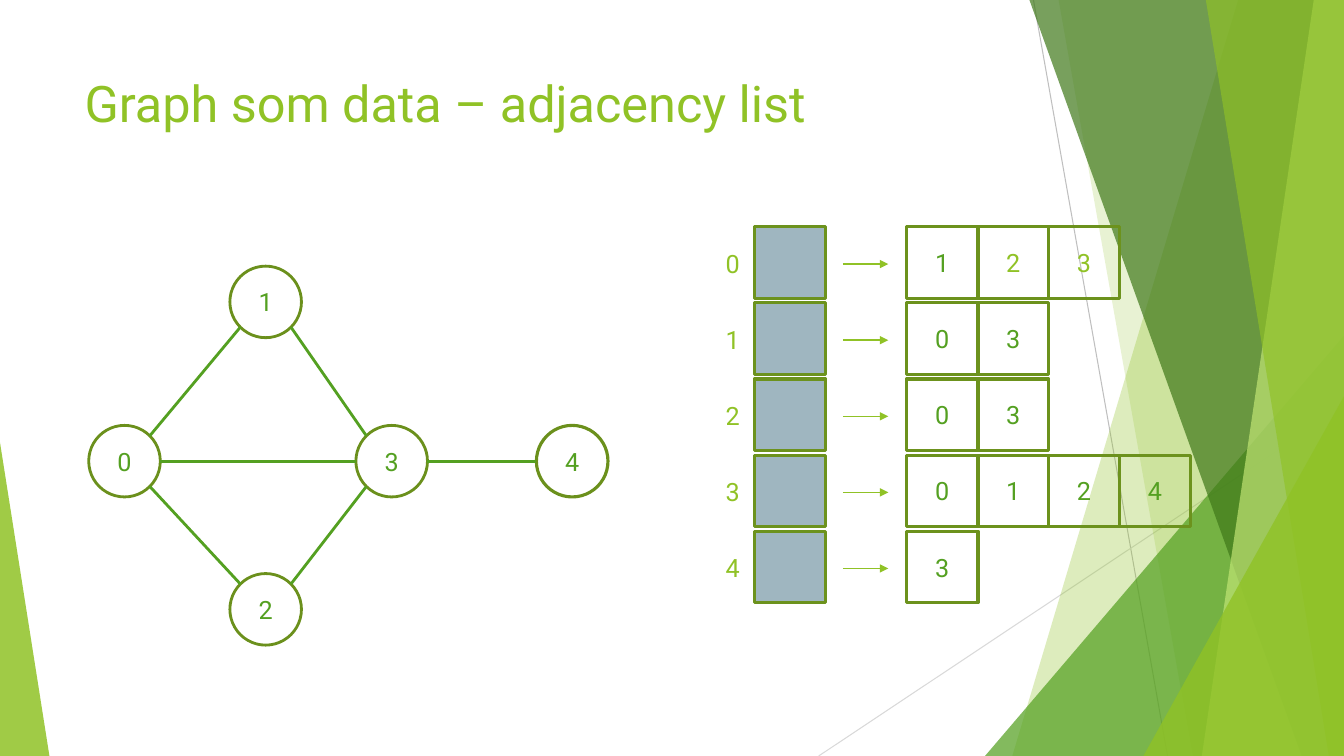
from dataclasses import dataclass
from math import sqrt

from lxml.etree import SubElement
from pptx import Presentation
from pptx.dml.color import RGBColor
from pptx.enum.shapes import MSO_CONNECTOR, MSO_SHAPE
from pptx.enum.text import MSO_ANCHOR, PP_ALIGN
from pptx.oxml.ns import qn
from pptx.util import Inches, Pt


@dataclass(frozen=True)
class Theme:
    font: str = "Roboto"
    lime: str = "90C226"
    green: str = "54A021"
    forest: str = "3F7819"
    pale: str = "C0E474"
    node_line: str = "6B901C"
    cell_line: str = "6C921D"
    slot: str = "9FB6C0"
    grey: str = "BFBFBF"
    light_grey: str = "D9D9D9"
    title_size: int = 36
    body_size: int = 18


theme = Theme()


def write(sp, text, size=theme.body_size, color=theme.green,
          align=PP_ALIGN.LEFT, anchor=MSO_ANCHOR.TOP):
    tf = sp.text_frame
    tf.word_wrap = True
    tf.vertical_anchor = anchor
    p = tf.paragraphs[0]
    p.alignment = align
    r = p.add_run()
    r.text = text
    r.font.name = theme.font
    r.font.size = Pt(size)
    r.font.color.rgb = RGBColor.from_string(color)


def add_text(slide, box, text, **fmt):
    write(slide.shapes.add_textbox(*map(Inches, box)), text, **fmt)


def paint(sp, fill=None, alpha=100, line=None, width=2):
    sp.shadow.inherit = False
    if fill:
        sp.fill.solid()
        sp.fill.fore_color.rgb = RGBColor.from_string(fill)
        if alpha < 100:
            clr = sp.fill._xPr.find(qn("a:solidFill"))[0]
            SubElement(clr, qn("a:alpha"), val=str(alpha * 1000))
    else:
        sp.fill.background()
    if line:
        sp.line.color.rgb = RGBColor.from_string(line)
        sp.line.width = Pt(width)
    else:
        sp.line.fill.background()


def add_shape(slide, kind, box, text=None, color=theme.green, **style):
    sp = slide.shapes.add_shape(kind, *map(Inches, box))
    paint(sp, **style)
    if text:
        write(sp, text, color=color, align=PP_ALIGN.CENTER,
              anchor=MSO_ANCHOR.MIDDLE)
    return sp


def add_line(slide, start, end, color, width, arrow=False):
    sp = slide.shapes.add_connector(MSO_CONNECTOR.STRAIGHT,
                                    *map(Inches, (*start, *end)))
    sp.line.color.rgb = RGBColor.from_string(color)
    sp.line.width = Pt(width)
    if arrow:
        SubElement(sp.line._get_or_add_ln(), qn("a:tailEnd"), type="triangle")
    SubElement(sp._element.spPr, qn("a:effectLst"))


def draw_facets(slide, left, top, width, height):
    """Overlapping translucent facets along the sides of the box."""
    right, bottom = left + width, top + height

    def band(x_top, x_bottom, fill, alpha):
        points = [(x_top, top), (right, top), (right, bottom), (x_bottom, bottom)]
        points = [(Inches(x), Inches(y)) for x, y in points]
        fb = slide.shapes.build_freeform(*points[0], scale=1.0)
        fb.add_line_segments(points[1:], close=True)
        paint(fb.convert_to_shape(), fill, alpha)

    def wedge(x, w, h, apex, fill, alpha):
        sp = add_shape(slide, MSO_SHAPE.ISOSCELES_TRIANGLE,
                       (x, bottom - h, w, h), fill=fill, alpha=alpha)
        sp.adjustments[0] = apex

    # Thin lines behind the facets
    add_line(slide, (left + 10.25, top), (left + 11.58, bottom), theme.grey, 0.75)
    add_line(slide, (right, top + 4.03), (left + 8.12, bottom),
             theme.light_grey, 0.75)
    # Right side, back to front
    band(left + 12.28, left + 10.04, theme.lime, 30)
    band(left + 10.5, left + 11.83, theme.lime, 20)
    wedge(right - 3.56, 3.56, 4.17, 1, theme.green, 72)
    band(left + 10.21, left + 12.91, theme.forest, 70)
    band(left + 13.03, left + 11.92, theme.pale, 70)
    band(left + 11.96, left + 13.18, theme.lime, 65)
    wedge(right - 1.99, 1.99, 3.57, 1, theme.lime, 80)
    # Left corner
    wedge(left, 0.49, 3.11, 0, theme.lime, 85)


def draw_graph(slide, left, top, width, height, size=0.71):
    """Five nodes and their edges; the outer nodes touch the box."""
    radius = size / 2
    mid = top + 1.935
    centres = {
        0: (left + radius, mid),
        1: (left + 1.755, top + radius),
        4: (left + width - radius, mid),
        3: (left + 3.005, mid),
        2: (left + 1.755, top + height - radius),
    }
    # Nodes
    for name, (x, y) in centres.items():
        add_shape(slide, MSO_SHAPE.OVAL, (x - radius, y - radius, size, size),
                  str(name), line=theme.node_line, width=2.25 if name == 4 else 2)
    # Edges run between side points or diagonal points of the circles
    for a, b in [(0, 1), (0, 2), (1, 3), (2, 3), (3, 4), (0, 3)]:
        (xa, ya), (xb, yb) = centres[a], centres[b]
        dx = radius if ya == yb else radius / sqrt(2)
        dy = 0 if ya == yb else dx if yb > ya else -dx
        add_line(slide, (xa + dx, ya + dy), (xb - dx, yb - dy), theme.green, 2)


def draw_adjacency_list(slide, left, top, width, height, size=0.71):
    """One row per node: index, slot, arrow and the neighbours."""
    neighbours = ["123", "03", "03", "0124", "3"]
    lime_cells = {(0, 1), (0, 2)}
    row_pitch = (height - size) / (len(neighbours) - 1)
    list_left = left + 1.89
    cell_pitch = (left + width - size - list_left) / (max(map(len, neighbours)) - 1)
    outline = dict(line=theme.cell_line, width=2.25)

    for row, names in enumerate(neighbours):
        y = top + row * row_pitch
        arrow_y = y + 0.37
        add_shape(slide, MSO_SHAPE.RECTANGLE, (left + 0.38, y, size, size),
                  fill=theme.slot, **outline)
        for col, name in enumerate(names):
            color = theme.lime if (row, col) in lime_cells else theme.green
            add_shape(slide, MSO_SHAPE.RECTANGLE,
                      (list_left + col * cell_pitch, y, size, size),
                      name, color, **outline)
        add_text(slide, (left, y + 0.165, 0.5, 0.4), str(row), color=theme.lime)
        add_line(slide, (left + 1.26, arrow_y), (left + 1.71, arrow_y),
                 theme.lime, 1, arrow=True)


prs = Presentation()
prs.slide_width, prs.slide_height = Inches(13.33), Inches(7.5)
slide = prs.slides.add_slide(prs.slide_layouts[6])

draw_facets(slide, 0, 0, 13.33, 7.5)
add_text(slide, (0.74, 0.67, 9.4, 1.44), "Graph som data – adjacency list",
         size=theme.title_size, color=theme.lime)
draw_graph(slide, 0.88, 2.64, 5.15, 3.76)
draw_adjacency_list(slide, 7.1, 2.25, 4.71, 3.73)

prs.save("out.pptx")
